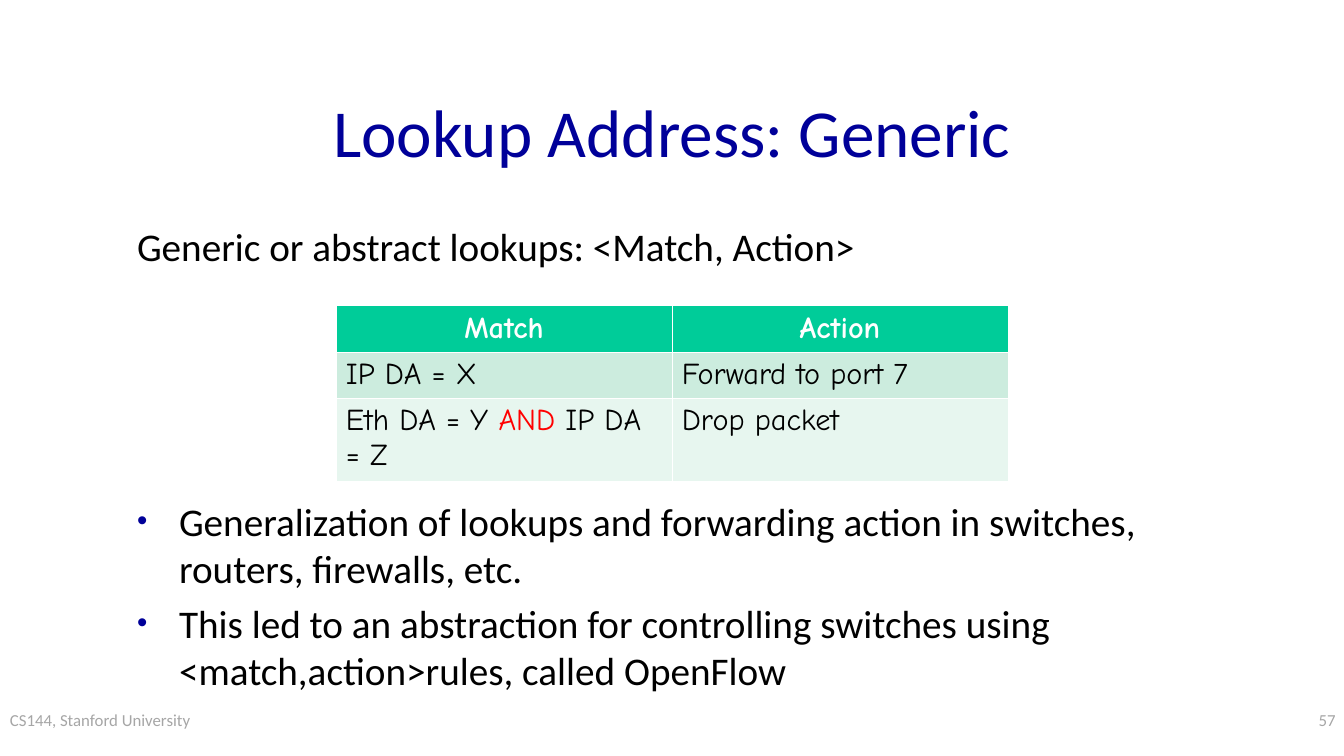
from dataclasses import dataclass

from lxml import etree
from pptx import Presentation
from pptx import util as u
from pptx.dml.color import RGBColor
from pptx.enum import text as t
from pptx.oxml import ns

NAVY = RGBColor(0x00, 0x00, 0x99)
BLACK = RGBColor(0x00, 0x00, 0x00)
WHITE = RGBColor(0xFF, 0xFF, 0xFF)
RED = RGBColor(0xFF, 0x00, 0x00)
GREY = RGBColor(0xA6, 0xA6, 0xA6)
GREEN = RGBColor(0x00, 0xCC, 0x99)
MINT = RGBColor(0xCC, 0xEC, 0xDE)
PALE_MINT = RGBColor(0xE7, 0xF6, 0xEF)

LEFT, CENTER, RIGHT = t.PP_ALIGN.LEFT, t.PP_ALIGN.CENTER, t.PP_ALIGN.RIGHT


@dataclass(frozen=True)
class Style:
    font: str
    size: float
    color: RGBColor
    bold: bool = False


@dataclass(frozen=True)
class Span:
    words: str
    style: Style


@dataclass(frozen=True)
class Box:
    left: float
    top: float
    width: float
    height: float


@dataclass(frozen=True)
class BodyLine:
    words: str
    space_before: float
    bulleted: bool


@dataclass(frozen=True)
class Footer:
    words: str
    box: Box
    align: t.PP_ALIGN
    margin: float


@dataclass(frozen=True)
class RuleRow:
    cells: list[list[Span]]
    fill: RGBColor
    align: t.PP_ALIGN


TITLE = Style("Calibri", 57.6, NAVY)
BODY = Style("Calibri", 33.6, BLACK)
SMALL = Style("Calibri", 14.4, GREY)
HEADER = Style("Comic Neue", 26, WHITE, True)
RULE = Style("Comic Neue", 26, BLACK)
OPERATOR = Style("Comic Neue", 26, RED)

TITLE_BOX = Box(3.05, 2.03, 34.54, 3.81)
BODY_BOX = Box(3.89, 6.6, 32.51, 13.72)
TABLE_BOX = Box(10.16, 9.25, 20.32, 4.2)

BODY_LINES = [
    BodyLine("Generic or abstract lookups: <Match, Action>", 0, False),
    BodyLine(
        "Generalization of lookups and forwarding action in switches, "
        "routers, firewalls, etc.", 195, True),
    BodyLine(
        "This led to an abstraction for controlling switches using "
        "<match,action>rules, called OpenFlow", 6.7, True),
]

FOOTERS = [
    Footer("CS144, Stanford University", Box(0, 21.34, 9.83, 1.52), LEFT, 0.3),
    Footer("57", Box(32.18, 21.34, 8.46, 1.52), RIGHT, 0.25),
]

RULE_ROWS = [
    RuleRow([[Span("Match", HEADER)], [Span("Action", HEADER)]], GREEN, CENTER),
    RuleRow([[Span("IP DA = X", RULE)], [Span("Forward to port 7", RULE)]], MINT, LEFT),
    RuleRow(
        [
            [Span("Eth DA = Y ", RULE), Span("AND", OPERATOR), Span(" IP DA = Z", RULE)],
            [Span("Drop packet", RULE)],
        ],
        PALE_MINT, LEFT),
]


def lengths(box: Box) -> list[u.Length]:
    return [u.Cm(value) for value in (box.left, box.top, box.width, box.height)]


def place(shape, box: Box) -> None:
    shape.left, shape.top, shape.width, shape.height = lengths(box)


def add_spans(paragraph, spans: list[Span], align: t.PP_ALIGN) -> None:
    paragraph.alignment = align
    for span in spans:
        run = paragraph.add_run()
        run.text = span.words
        run.font.name = span.style.font
        run.font.size = u.Pt(span.style.size)
        run.font.bold = span.style.bold
        run.font.color.rgb = span.style.color


def set_bullet(paragraph, bulleted: bool) -> None:
    properties = paragraph._p.get_or_add_pPr()
    indent = u.Cm(1.27) if bulleted else 0
    properties.set("marL", str(indent))
    properties.set("indent", str(-indent))
    if not bulleted:
        etree.SubElement(properties, ns.qn("a:buNone"))
        return
    color = etree.SubElement(properties, ns.qn("a:buClr"))
    etree.SubElement(color, ns.qn("a:srgbClr"), val=str(NAVY))
    etree.SubElement(properties, ns.qn("a:buSzPct"), val="75000")
    etree.SubElement(properties, ns.qn("a:buChar"), char="•")


def fill_title(shape) -> None:
    place(shape, TITLE_BOX)
    frame = shape.text_frame
    frame.auto_size = t.MSO_AUTO_SIZE.NONE
    frame.vertical_anchor = t.MSO_ANCHOR.MIDDLE
    add_spans(frame.paragraphs[0], [Span("Lookup Address: Generic", TITLE)], CENTER)


def fill_body(shape) -> None:
    place(shape, BODY_BOX)
    frame = shape.text_frame
    frame.auto_size = t.MSO_AUTO_SIZE.NONE
    frame.vertical_anchor = t.MSO_ANCHOR.TOP
    for index, line in enumerate(BODY_LINES):
        paragraph = frame.add_paragraph() if index else frame.paragraphs[0]
        set_bullet(paragraph, line.bulleted)
        paragraph.space_before = u.Pt(line.space_before)
        add_spans(paragraph, [Span(line.words, BODY)], LEFT)


def add_footer(slide, footer: Footer) -> None:
    frame = slide.shapes.add_textbox(*lengths(footer.box)).text_frame
    frame.word_wrap = True
    frame.margin_left = frame.margin_right = u.Cm(footer.margin)
    add_spans(frame.paragraphs[0], [Span(footer.words, SMALL)], footer.align)


def add_rules(slide) -> None:
    table = slide.shapes.add_table(len(RULE_ROWS), 2, *lengths(TABLE_BOX)).table
    for row_index, row in enumerate(RULE_ROWS):
        for column_index, spans in enumerate(row.cells):
            cell = table.cell(row_index, column_index)
            cell.fill.solid()
            cell.fill.fore_color.rgb = row.fill
            cell.margin_left = cell.margin_right = u.Cm(0.3)
            cell.margin_top = cell.margin_bottom = u.Cm(0.15)
            add_spans(cell.text_frame.paragraphs[0], spans, row.align)


def main() -> None:
    presentation = Presentation()
    presentation.slide_width = u.Cm(40.64)
    presentation.slide_height = u.Cm(22.86)
    slide = presentation.slides.add_slide(presentation.slide_layouts[1])
    fill_title(slide.shapes.title)
    fill_body(slide.placeholders[1])
    for footer in FOOTERS:
        add_footer(slide, footer)
    add_rules(slide)
    presentation.save("out.pptx")


if __name__ == "__main__":
    main()
